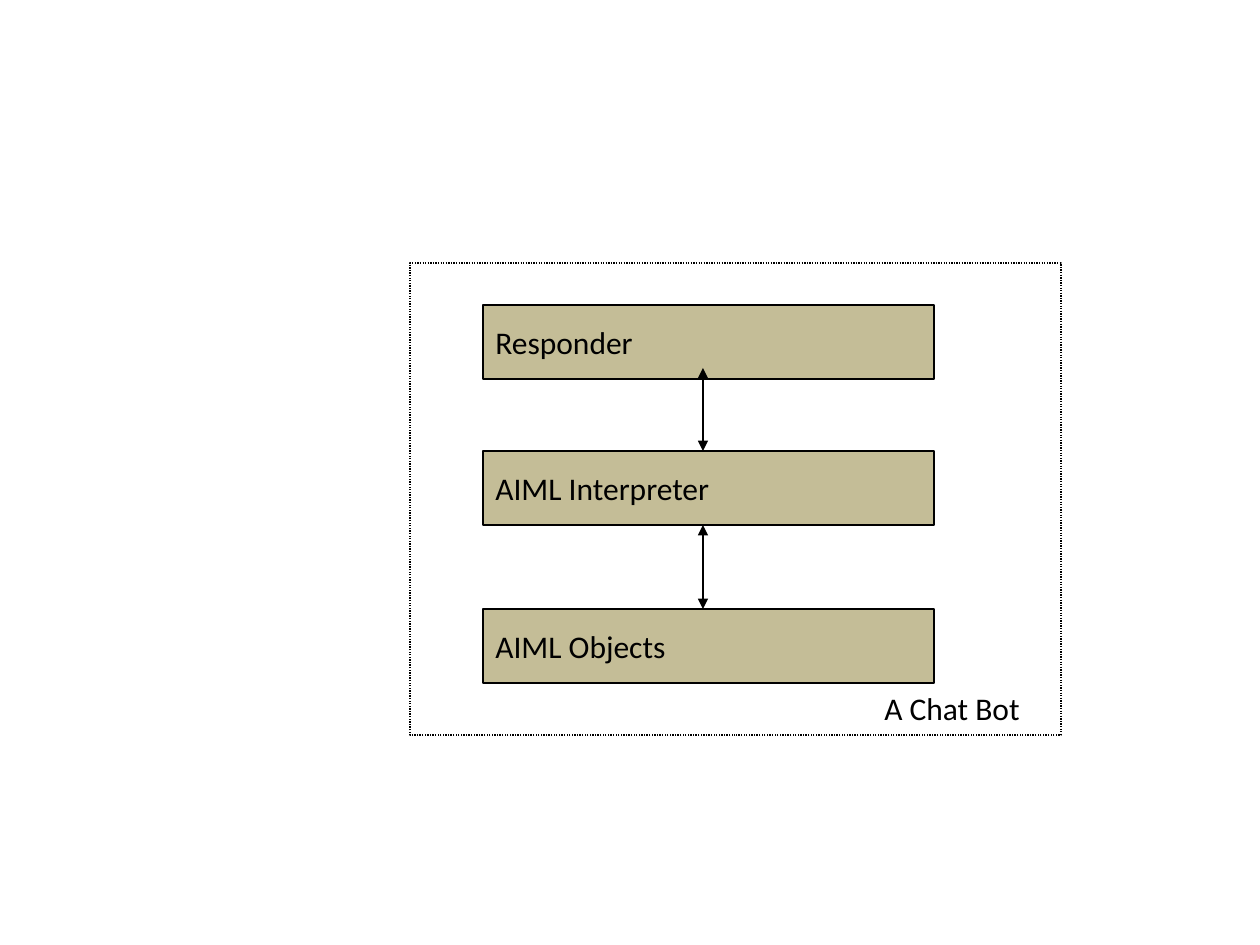
from lxml.etree import SubElement
from pptx import Presentation
from pptx.dml.color import RGBColor
from pptx.enum.dml import MSO_LINE_DASH_STYLE as Dash
from pptx.enum.shapes import MSO_CONNECTOR as Connector, MSO_SHAPE as Shape
from pptx.enum.text import MSO_ANCHOR as Anchor, MSO_AUTO_SIZE as AutoSize, PP_ALIGN as Align
from pptx.oxml.ns import qn
from pptx.util import Emu, Pt

EMU_PER_PX = 914400 / 126
COLORS = {"ink": "000000", "layer": "C4BD97"}
FONT = "Calibri"

# Stack of layers: shared geometry, then name and top of each
LAYER_LEFT, LAYER_WIDTH, LAYER_HEIGHT = 483, 451, 74
LAYERS = [("Responder", 305), ("AIML Interpreter", 451), ("AIML Objects", 609)]

# Arrows between layers: start and end heights
ARROW_X = 703
ARROWS = [(368, 451), (525, 609)]


def px(value):
    return Emu(round(value * EMU_PER_PX))


def color(name):
    return RGBColor.from_string(COLORS[name])


def style_line(line):
    line.color.rgb = color("ink")
    line.width = Pt(0.75)


def write_text(frame, text):
    paragraph = frame.paragraphs[0]
    paragraph.text = text
    paragraph.alignment = Align.LEFT
    paragraph.font.name = FONT
    paragraph.font.size = Pt(18)
    paragraph.font.color.rgb = color("ink")


def add_box(slide, left, top, width, height):
    shape = slide.shapes.add_shape(
        Shape.RECTANGLE, px(left), px(top), px(width), px(height))
    shape.shadow.inherit = False
    style_line(shape.line)
    return shape


def add_layer(slide, name, top):
    shape = add_box(slide, LAYER_LEFT, top, LAYER_WIDTH, LAYER_HEIGHT)
    shape.fill.solid()
    shape.fill.fore_color.rgb = color("layer")
    frame = shape.text_frame
    frame.word_wrap = False
    frame.vertical_anchor = Anchor.MIDDLE
    write_text(frame, name)


def add_double_arrow(slide, x, top, bottom):
    connector = slide.shapes.add_connector(
        Connector.STRAIGHT, px(x), px(top), px(x), px(bottom))
    style_line(connector.line)
    line_xml = connector.line._get_or_add_ln()
    for end in ("a:headEnd", "a:tailEnd"):
        SubElement(line_xml, qn(end), type="triangle")
    SubElement(connector._element.spPr, qn("a:effectLst"))


def add_frame(slide, left, top, width, height):
    shape = add_box(slide, left, top, width, height)
    shape.fill.background()
    shape.line.dash_style = Dash.ROUND_DOT


def add_label(slide, text, left, top, width, height):
    frame = slide.shapes.add_textbox(
        px(left), px(top), px(width), px(height)).text_frame
    frame.word_wrap = True
    frame.auto_size = AutoSize.SHAPE_TO_FIT_TEXT
    write_text(frame, text)


def main():
    presentation = Presentation()
    presentation.slide_width, presentation.slide_height = px(1260), px(945)
    slide = presentation.slides.add_slide(presentation.slide_layouts[6])

    # Layers and the exchanges between them
    for name, top in LAYERS:
        add_layer(slide, name, top)
    for top, bottom in ARROWS:
        add_double_arrow(slide, ARROW_X, top, bottom)

    # Dotted outline of the whole bot, with its label
    add_frame(slide, 410, 263, 651, 472)
    add_label(slide, "A Chat Bot", 872, 683, 179, 50)

    presentation.save("out.pptx")


if __name__ == "__main__":
    main()
